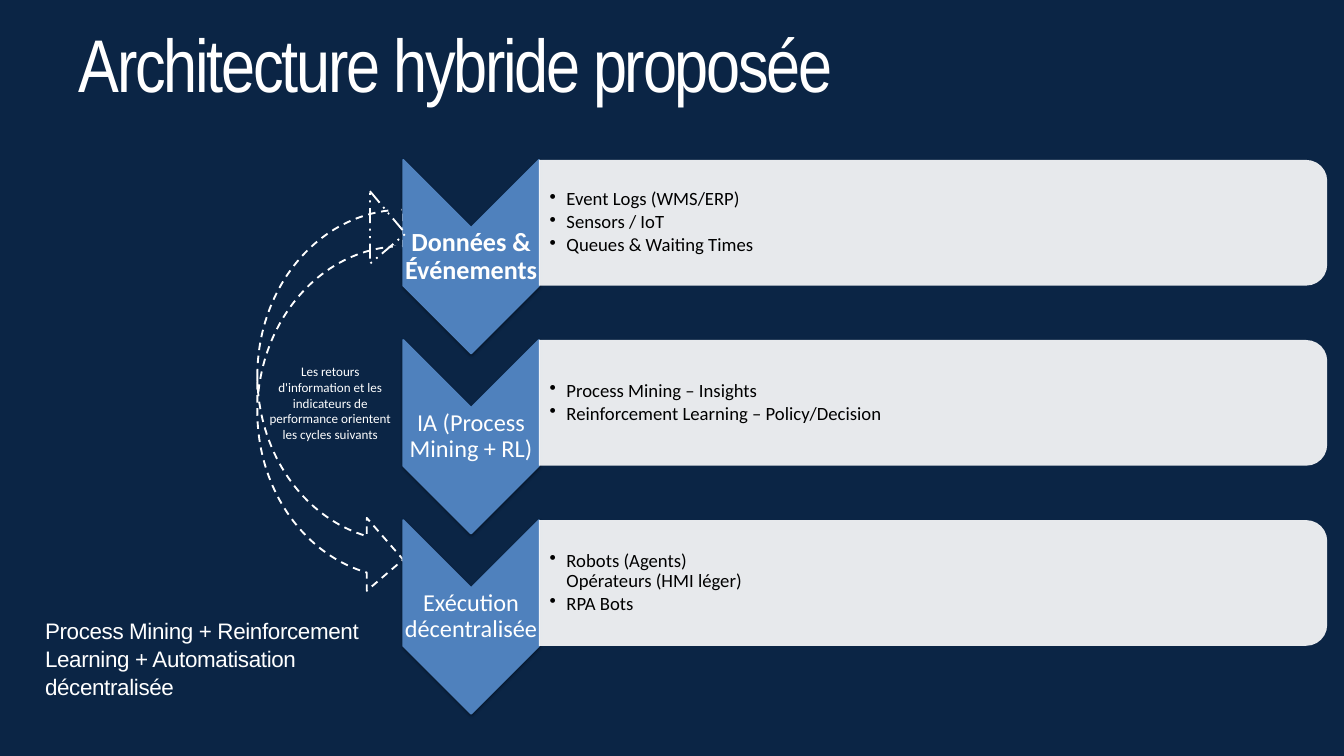
"""Build the slide on the proposed hybrid architecture."""
from lxml import etree
from pptx import Presentation
from pptx.dml.color import RGBColor
from pptx.enum.dml import MSO_LINE
from pptx.enum.shapes import MSO_SHAPE
from pptx.enum.text import MSO_ANCHOR, PP_ALIGN
from pptx.oxml.ns import qn
from pptx.util import Inches, Pt

CHEVRON, BAR = MSO_SHAPE.CHEVRON, MSO_SHAPE.ROUND_2_SAME_RECTANGLE
CURVED_ARROW, TRIANGLE = MSO_SHAPE.CURVED_RIGHT_ARROW, MSO_SHAPE.ISOSCELES_TRIANGLE
RECTANGLE = MSO_SHAPE.RECTANGLE
DASH, DASH_DOT_DOT = MSO_LINE.DASH, MSO_LINE.DASH_DOT_DOT
TOP, MIDDLE = MSO_ANCHOR.TOP, MSO_ANCHOR.MIDDLE
LEFT, CENTER = PP_ALIGN.LEFT, PP_ALIGN.CENTER
NAVY, BLUE, WHITE, BLACK = "0B2545", "4F81BD", "FFFFFF", "000000"
color = RGBColor.from_string


def add_shape(kind, bounds, rotation=0, fill=None, line=None, dash=None):
    shape = page.shapes.add_shape(kind, *map(Inches, bounds))
    shape.shadow.inherit = False
    shape.rotation = rotation
    if fill:
        shape.fill.solid()
        shape.fill.fore_color.rgb = color(fill)
    else:
        shape.fill.background()
    if line:
        shape.line.color.rgb = color(line)
        shape.line.width = Pt(2)
        shape.line.dash_style = dash
    else:
        shape.line.fill.background()
    return shape


def write(box, lines, font, tint=WHITE, spacing=0, margins=(0, 0, 0, 0),
          anchor=TOP, bullet=False, **layout):
    frame = box.text_frame
    frame.word_wrap = True
    frame.vertical_anchor = anchor
    for side, margin in zip(("left", "top", "right", "bottom"), margins):
        setattr(frame, f"margin_{side}", Inches(margin))
    for index, line in enumerate(lines):
        para = frame.add_paragraph() if index else frame.paragraphs[0]
        para.text = line
        for name, value in layout.items():
            setattr(para, name, value)
        if bullet:
            properties = para._p.get_or_add_pPr()
            properties.set("marL", str(Inches(0.25)))
            properties.set("indent", str(Inches(-0.25)))
            etree.SubElement(properties, qn("a:buChar")).set("char", "•")
        for span in para.runs:
            for name, value in font.items():
                setattr(span.font, name, value)
            span.font.color.rgb = color(tint)
            if spacing:
                span.font._element.set("spc", str(spacing))


deck = Presentation()
deck.slide_width, deck.slide_height = Inches(20), Inches(11.25)
page = deck.slides.add_slide(deck.slide_layouts[6])
page.background.fill.solid()
page.background.fill.fore_color.rgb = color(NAVY)

title = page.shapes.add_textbox(*map(Inches, (1.17, 0.38, 18.07, 2.47)))
write(title, ["Architecture hybride proposée"],
      {"name": "Arial Narrow", "size": Pt(80)}, spacing=-240, line_spacing=Pt(88))

feedback = add_shape(CURVED_ARROW, (3.83, 3.12, 2.17, 5.75), line=WHITE, dash=DASH)
write(feedback,
      ["Les retours d'information et les indicateurs de performance orientent les cycles suivants"],
      {"name": "Calibri", "size": Pt(14)}, margins=(0.1, 0.05, 0.1, 0.05),
      anchor=MIDDLE, alignment=CENTER)

summary = page.shapes.add_textbox(*map(Inches, (0.67, 9.17, 4.67, 1.23)))
write(summary, ["Process Mining + Reinforcement Learning + Automatisation décentralisée"],
      {"name": "Arial", "size": Pt(24)}, spacing=-40, line_spacing=Pt(30))

layers = [
    ("Données & Événements", 28, True,
     ["Event Logs (WMS/ERP)", "Sensors / IoT", "Queues & Waiting Times"]),
    ("IA (Process Mining + RL)", 26, False,
     ["Process Mining – Insights", "Reinforcement Learning – Policy/Decision"]),
    ("Exécution décentralisée", 26, False,
     ["Robots (Agents)\vOpérateurs (HMI léger)", "RPA Bots"]),
]
for row, (heading, size, bold, items) in enumerate(layers):
    offset = row * 2.68
    chevron = add_shape(CHEVRON, (5.57, 2.81 + offset, 2.88, 2.02), 90, BLUE, BLUE)
    effects = chevron._element.spPr.find(qn("a:effectLst"))
    shadow = etree.SubElement(effects, qn("a:outerShdw"), blurRad=str(Pt(3.1)),
                              dist=str(Pt(1.6)), dir="5400000", rotWithShape="0")
    shade = etree.SubElement(shadow, qn("a:srgbClr"), val=BLACK)
    etree.SubElement(shade, qn("a:alpha"), val="38000")

    label = page.shapes.add_textbox(*map(Inches, (6, 3.39 + offset, 2.02, 0.86)))
    write(label, [heading], {"name": "Calibri", "size": Pt(size), "bold": bold},
          margins=(0.02, 0.02, 0.02, 0.02), anchor=MIDDLE, alignment=CENTER,
          line_spacing=0.9)

    bar = add_shape(BAR, (12.95, -2.55 + offset, 1.87, 11.73), 90, WHITE)
    tint = bar._element.spPr.find(qn("a:solidFill"))[0]
    etree.SubElement(tint, qn("a:alpha"), val="90000")

    details = page.shapes.add_textbox(*map(Inches, (8.02, 2.47 + offset, 11.64, 1.69)))
    write(details, items, {"name": "Calibri", "size": Pt(20)}, BLACK,
          margins=(0.16, 0.01, 0.01, 0.01), anchor=MIDDLE, bullet=True,
          alignment=LEFT, level=1, line_spacing=0.9, space_after=Pt(3))

arrowhead = add_shape(TRIANGLE, (5.23, 3.12, 1.08, 0.53), 90, line=WHITE, dash=DASH_DOT_DOT)
arrowhead.adjustments[0] = 0.585
add_shape(RECTANGLE, (5.79, 3.1, 0.18, 0.07), 346.3, NAVY)
add_shape(RECTANGLE, (5.85, 3.65, 0.13, 0.06), 353.8, NAVY)

deck.save("out.pptx")
